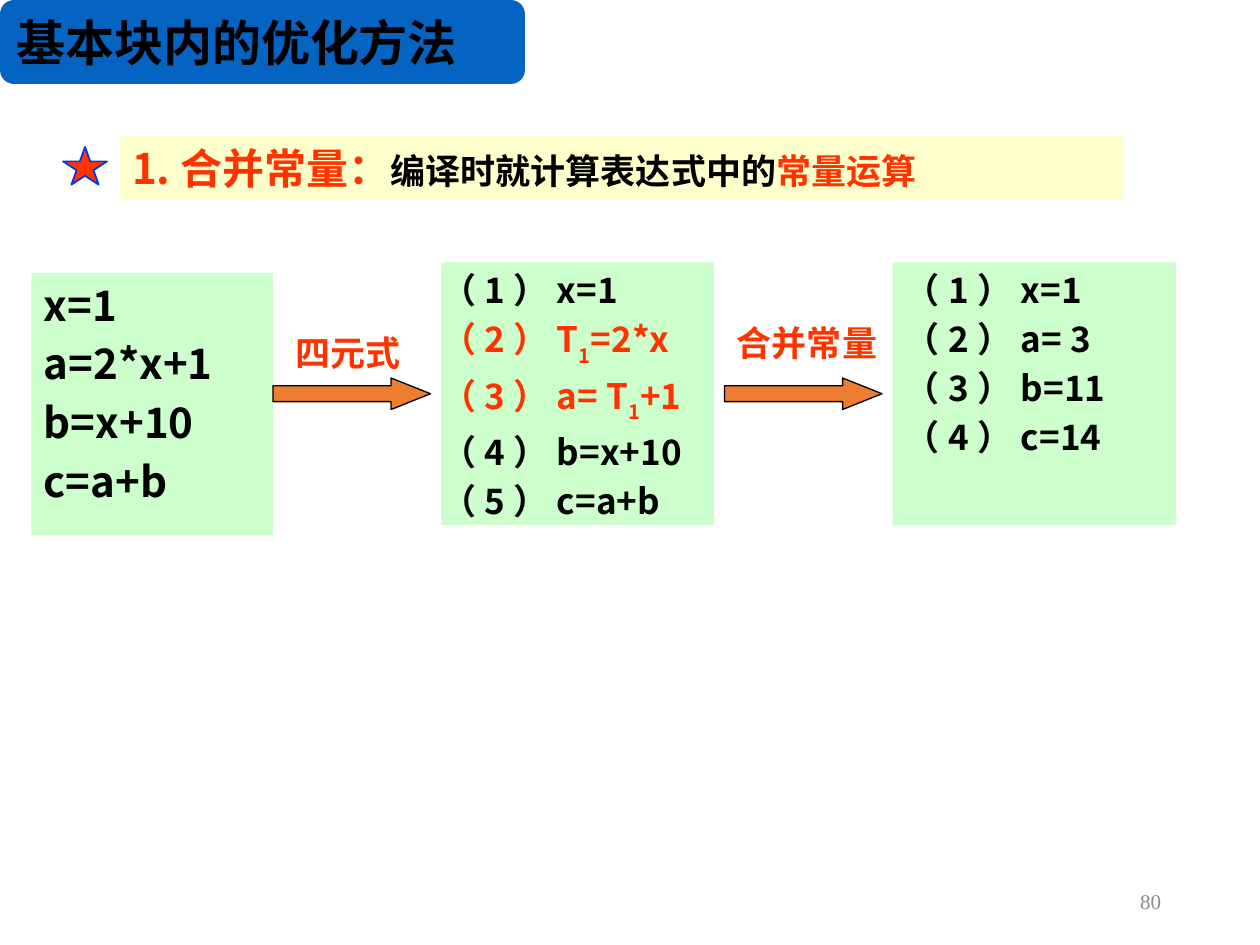
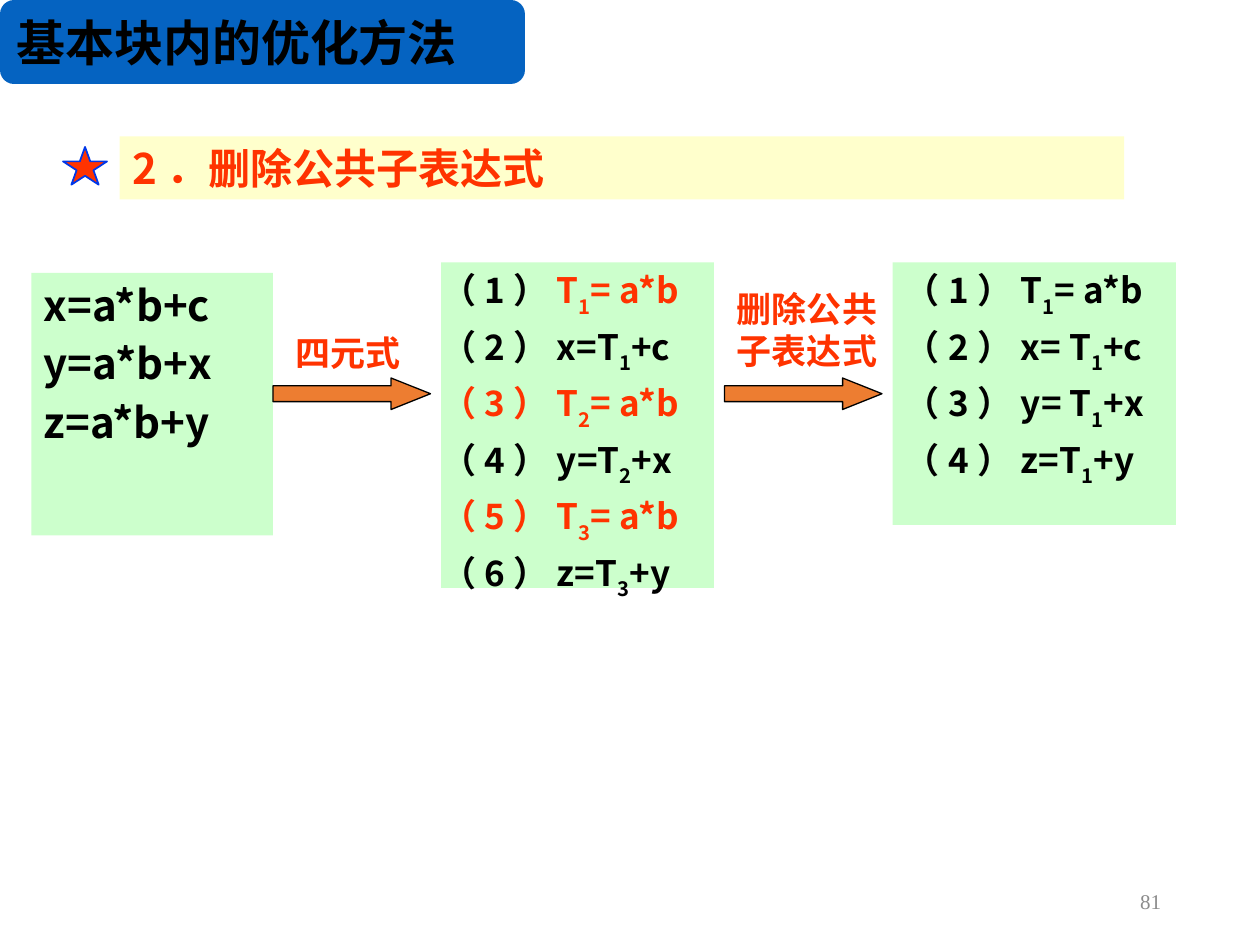
from pptx import Presentation
from pptx.dml.color import RGBColor
from pptx.enum.shapes import MSO_SHAPE
from pptx.enum.text import MSO_ANCHOR, PP_ALIGN
from pptx.oxml.ns import qn
from pptx.util import Pt
from lxml import etree

RECT = MSO_SHAPE.RECTANGLE
ROUNDED = MSO_SHAPE.ROUNDED_RECTANGLE
STAR = MSO_SHAPE.STAR_5_POINT
ARROW = MSO_SHAPE.RIGHT_ARROW
TOP, MIDDLE = MSO_ANCHOR.TOP, MSO_ANCHOR.MIDDLE
LEFT, RIGHT, JUSTIFY = PP_ALIGN.LEFT, PP_ALIGN.RIGHT, PP_ALIGN.JUSTIFY

SANS, SERIF = "Noto Sans CJK SC", "Times New Roman"
BLACK, RED, BLUE, STAR_EDGE = "000000", "FF3300", "0563C1", "0037E8"
CREAM, MINT, ORANGE, GREY = "FFFFCC", "CCFFCC", "ED7D31", "8C8C8C"
HANGING = 27


def color(value):
    return RGBColor.from_string(value)


def write(shape, lines, size=20, font=SANS, ink=BLACK, bold=True, align=LEFT,
          anchor=TOP, side_inset=7.2, hanging=0, before=0):
    frame = shape.text_frame
    frame.word_wrap = True
    frame.vertical_anchor = anchor
    frame.margin_left = frame.margin_right = Pt(side_inset)
    frame.margin_top = frame.margin_bottom = Pt(3.6)
    for index, line in enumerate(lines):
        paragraph = frame.add_paragraph() if index else frame.paragraphs[0]
        paragraph.alignment = align
        paragraph.space_before = Pt(before if index else 0)
        if hanging:
            properties = paragraph._p.get_or_add_pPr()
            properties.set("marL", str(Pt(hanging)))
            properties.set("indent", str(Pt(-hanging)))
        for text, own in line:
            run = paragraph.add_run()
            run.text = text
            run.font.size = Pt(own.get("size", size))
            run.font.name = own.get("font", font)
            run.font.bold = bold
            run.font.color.rgb = color(own.get("ink", ink))
            run_properties = run._r.get_or_add_rPr()
            east_asian = etree.SubElement(run_properties, qn("a:ea"))
            east_asian.set("typeface", SANS)
            if own.get("subscript"):
                run_properties.set("baseline", "-30000")


def quadruple(number, code, number_ink=BLACK, code_ink=BLACK):
    bracket = {"font": SERIF, "ink": number_ink}
    body = {"ink": code_ink}
    head, _, tail = code.partition("_")
    line = [("（", bracket), (str(number), {"ink": number_ink}),
            ("）", bracket), (head, body)]
    if tail:
        line += [(tail[0], {"ink": code_ink, "subscript": True}),
                 (tail[1:], body)]
    return line


class Deck:
    def __init__(self):
        self.presentation = Presentation()
        self.presentation.slide_width = Pt(720)
        self.presentation.slide_height = Pt(540)
        self.slide = None

    def start_slide(self, page):
        self.slide = self.presentation.slides.add_slide(
            self.presentation.slide_layouts[6])
        banner = self.shape(ROUNDED, 0, 0, 300, 48, BLUE)
        write(banner, [[("基本块内的优化方法", {})]], size=28, anchor=MIDDLE)
        self.label(508.5, 500.4, 162, 28.8, str(page), size=12, ink=GREY,
                   bold=False, align=RIGHT, anchor=MIDDLE)

    def shape(self, kind, left, top, width, height, fill, edge=None, weight=1):
        shape = self.slide.shapes.add_shape(
            kind, Pt(left), Pt(top), Pt(width), Pt(height))
        shape.shadow.inherit = False
        shape.fill.solid()
        shape.fill.fore_color.rgb = color(fill)
        if edge:
            shape.line.color.rgb = color(edge)
            shape.line.width = Pt(weight)
        else:
            shape.line.fill.background()
        return shape

    def label(self, left, top, width, height, text, **style):
        box = self.slide.shapes.add_textbox(
            Pt(left), Pt(top), Pt(width), Pt(height))
        write(box, [[(text, {})]], **{"font": SERIF, "ink": RED, **style})

    def heading(self, runs):
        self.shape(STAR, 36, 84, 25.2, 21.6, RED, STAR_EDGE)
        strip = self.shape(RECT, 68.4, 78, 574, 36, CREAM)
        write(strip, [runs], size=24, ink=RED)

    def code_box(self, left, top, width, height, lines, size=20, **style):
        box = self.shape(RECT, left, top, width, height, MINT)
        write(box, lines, size=size, align=JUSTIFY, hanging=HANGING,
              before=size * 0.2, **style)

    def arrow(self, left):
        arrow = self.shape(ARROW, left, 216, 90, 18, ORANGE, BLACK, 0.75)
        arrow.adjustments[0] = 0.5
        arrow.adjustments[1] = 1.25

    def transformation(self, source, quadruples, optimized, middle_height):
        self.code_box(18, 156, 138, 150, [[(code, {})] for code in source],
                      size=24)
        self.arrow(156)
        self.label(162, 186, 78, 31, "四元式")
        self.code_box(252, 150, 156, middle_height,
                      [quadruple(n, *row) for n, row in enumerate(quadruples, 1)],
                      side_inset=0)
        self.arrow(414)
        self.code_box(510, 150, 162, 150,
                      [quadruple(n, code) for n, code in enumerate(optimized, 1)])


def main():
    deck = Deck()

    deck.start_slide(80)
    deck.heading([("1.合并常量：", {}),
                  ("编译时就计算表达式中的", {"size": 20, "ink": BLACK}),
                  ("常量运算", {"size": 20})])
    deck.transformation(
        ["x=1", "a=2*x+1", "b=x+10", "c=a+b"],
        [("x=1",), ("T_1=2*x", RED, RED), ("a= T_1+1", RED, RED),
         ("b=x+10",), ("c=a+b",)],
        ["x=1", "a= 3", "b=11", "c=14"], middle_height=150)
    deck.label(414, 180, 96, 31, "合并常量")

    deck.start_slide(81)
    deck.heading([("2．删除公共子表达式", {})])
    deck.transformation(
        ["x=a*b+c", "y=a*b+x", "z=a*b+y"],
        [("T_1= a*b", BLACK, RED), ("x=T_1+c",),
         ("T_2= a*b", RED, RED), ("y=T_2+x",),
         ("T_3= a*b", RED, RED), ("z=T_3+y",)],
        ["T_1= a*b", "x= T_1+c", "y= T_1+x", "z=T_1+y"], middle_height=186)
    deck.label(414, 160.6, 96, 55.4, "删除公共子表达式", font=SANS)

    deck.presentation.save("out.pptx")


if __name__ == "__main__":
    main()
